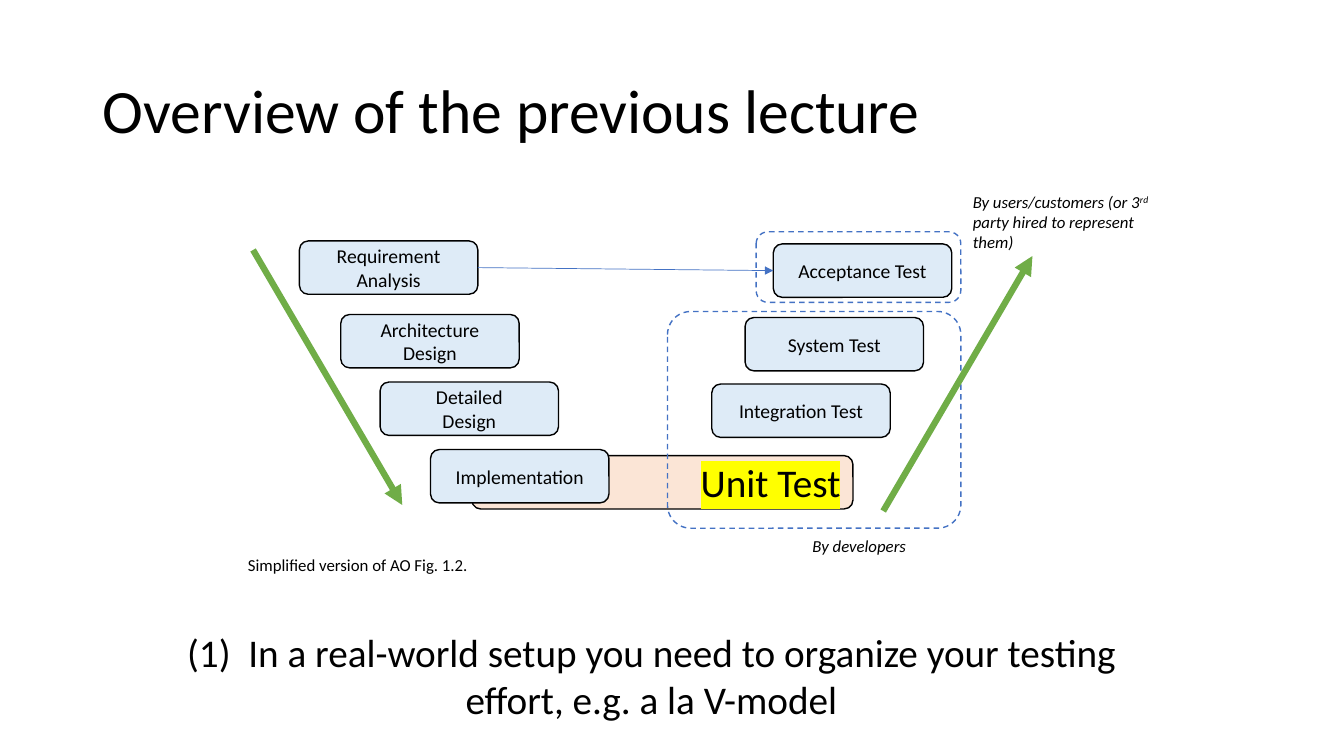
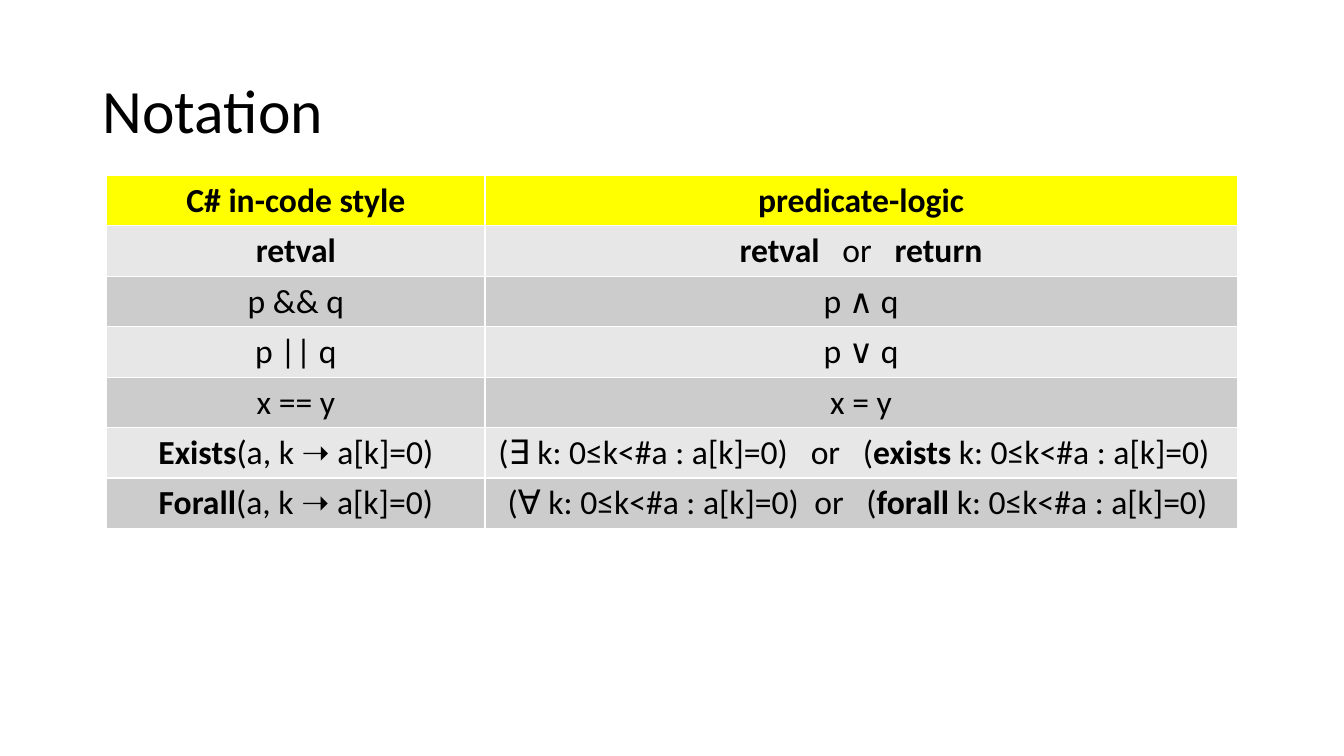
from lxml import etree
from pptx import Presentation
from pptx import util as u
from pptx.dml.color import RGBColor
from pptx.enum import dml, shapes, text
from pptx.oxml import ns

FONT = "Calibri"
COLORS = {
    "ink": "000000", "paper": "FFFFFF", "marker": "FFFF00", "step": "DEEBF7",
    "unit": "FBE5D6", "blue": "4472C4", "green": "70AD47",
    "light": "E7E7E7", "dark": "CCCCCC",
}
BOLD = {"bold": True}
STEP_SIZE = (1.77, 0.53)
WIDE_GAP = (" ", {"spacing": 10.8})
NARROW_GAP = (" ", {"spacing": 5.4})
LEFT, CENTER, RIGHT = text.PP_ALIGN.LEFT, text.PP_ALIGN.CENTER, text.PP_ALIGN.RIGHT
TOP, MIDDLE = text.MSO_ANCHOR.TOP, text.MSO_ANCHOR.MIDDLE


def color(name):
    return RGBColor.from_string(COLORS[name])


def add_child(parent, tag, **attributes):
    return etree.SubElement(parent, ns.qn(tag), attributes)


def add_span(para, words, size, bold=False, italic=False, baseline=None, spacing=None, highlight=None):
    span = para.add_run()
    span.text = words
    font = span.font
    font.name, font.size, font.bold, font.italic = FONT, u.Pt(size), bold, italic
    font.color.rgb = color("ink")
    properties = span._r.get_or_add_rPr()
    if baseline:
        properties.set("baseline", str(baseline * 1000))
    if spacing:
        properties.set("spc", str(round(spacing * 100)))
    if highlight:
        mark = etree.Element(ns.qn("a:highlight"))
        add_child(mark, "a:srgbClr", val=COLORS[highlight])
        properties.find(ns.qn("a:solidFill")).addnext(mark)


def write(frame, paragraphs, align=LEFT, line_spacing=None, **style):
    for index, spans in enumerate(paragraphs):
        para = frame.add_paragraph() if index else frame.paragraphs[0]
        para.alignment = align
        if line_spacing:
            para.line_spacing = line_spacing
        for span in [spans] if isinstance(spans, str) else spans:
            words, extra = (span, {}) if isinstance(span, str) else span
            add_span(para, words, **{**style, **extra})


def add_text(page, area, *paragraphs, anchor=TOP, wrap=True, **style):
    frame = page.shapes.add_textbox(*map(u.Inches, area)).text_frame
    frame.word_wrap = wrap
    frame.vertical_anchor = anchor
    write(frame, paragraphs, **style)


def add_title(page, words):
    add_text(page, (0.92, 0.4, 11.5, 1.45), words, anchor=MIDDLE, size=44, line_spacing=0.9)


def add_round_box(page, area, *paragraphs, fill=None, line="ink", dashed=False, corner=None, **style):
    box = page.shapes.add_shape(shapes.MSO_SHAPE.ROUNDED_RECTANGLE, *map(u.Inches, area))
    box.shadow.inherit = False
    if corner:
        box.adjustments[0] = corner
    if fill:
        box.fill.solid()
        box.fill.fore_color.rgb = color(fill)
    else:
        box.fill.background()
    box.line.color.rgb = color(line)
    box.line.width = u.Pt(1)
    if dashed:
        box.line.dash_style = dml.MSO_LINE.DASH
    if paragraphs:
        box.text_frame.word_wrap = True
        box.text_frame.vertical_anchor = MIDDLE
        write(box.text_frame, paragraphs, **style)
    return box


def add_step(page, left, top, *paragraphs):
    return add_round_box(page, (left, top, *STEP_SIZE), *paragraphs, fill="step", size=14, align=CENTER)


def add_arrow(page, start, end, line, width):
    arrow = page.shapes.add_connector(shapes.MSO_CONNECTOR.STRAIGHT, *map(u.Inches, (*start, *end)))
    arrow.line.color.rgb = color(line)
    arrow.line.width = u.Pt(width)
    add_child(arrow.line._get_or_add_ln(), "a:tailEnd", type="triangle")
    add_child(arrow._element.spPr, "a:effectLst")
    return arrow


def add_borders(cell, name):
    properties = cell._tc.get_or_add_tcPr()
    for index, side in enumerate(("a:lnL", "a:lnR", "a:lnT", "a:lnB")):
        line = etree.Element(ns.qn(side), w=str(u.Pt(1)))
        add_child(add_child(line, "a:solidFill"), "a:srgbClr", val=COLORS[name])
        properties.insert(index, line)


def add_grid(page, left, top, widths, row_height, rows):
    frame = page.shapes.add_table(len(rows), len(widths), *map(
        u.Inches, (left, top, sum(widths), row_height * len(rows))))
    table = frame.table
    for column, width in zip(table.columns, widths):
        column.width = u.Inches(width)
    for row_index, row in enumerate(rows):
        table.rows[row_index].height = u.Inches(row_height)
        fill = ("light" if row_index % 2 else "dark") if row_index else "marker"
        for column_index, spans in enumerate(row):
            cell = table.cell(row_index, column_index)
            cell.fill.solid()
            cell.fill.fore_color.rgb = color(fill)
            add_borders(cell, "paper")
            write(cell.text_frame, [spans], size=24, align=CENTER, bold=row_index == 0)
    return table


def build_overview(page):
    add_title(page, "Overview of the previous lecture")
    add_round_box(page, (4.68, 4.52, 3.78, 0.53), "Unit Test",
                  fill="unit", size=28, align=RIGHT, highlight="marker")
    add_round_box(page, (7.5, 2.3, 2.03, 0.7), line="blue", dashed=True)
    add_text(page, (9.55, 1.85, 2.19, 0.71),
             ["By users/customers (or 3", ("rd", {"baseline": 30}), " party hired to represent them)"],
             size=12, italic=True)
    add_round_box(page, (6.62, 3.09, 2.91, 2.15), line="blue", dashed=True, corner=0.107)
    add_text(page, (7.96, 5.27, 1.48, 0.3), "By developers", size=12, italic=True)

    requirement = add_step(page, 2.97, 2.39, "Requirement Analysis")
    add_step(page, 3.38, 3.12, "Architecture Design")
    add_step(page, 3.77, 3.79, "Detailed", "Design")
    add_step(page, 4.27, 4.46, "Implementation")
    add_step(page, 7.06, 3.81, "Integration Test")
    add_step(page, 7.39, 3.15, "System Test")
    acceptance = add_step(page, 7.67, 2.42, "Acceptance Test")

    add_arrow(page, (2.51, 2.48), (3.99, 5.01), "green", 4.5)
    check = add_arrow(page, (4.74, 2.65), (7.67, 2.69), "blue", 0.5)
    check.begin_connect(requirement, 3)
    check.end_connect(acceptance, 1)
    add_arrow(page, (8.76, 5.07), (10.24, 2.54), "green", 4.5)

    add_text(page, (2.36, 5.45, 2.64, 0.3), "Simplified version of AO Fig. 1.2.", size=12, wrap=False)
    add_text(page, (1.59, 6.18, 9.74, 1.04),
             ["(1)", (" ", {"spacing": 6.3}),
              "In a real-world setup you need to organize your testing effort, e.g. a la V-model"],
             size=28, align=CENTER)


def build_notation(page):
    add_title(page, "Notation")
    condition = " k: 0≤k<#a : a[k]=0)"
    rows = [
        ("C# in-code style", "predicate-logic"),
        ([("retval", BOLD)], [("retval", BOLD), WIDE_GAP, "or", WIDE_GAP, ("return", BOLD)]),
        ("p && q", "p ∧ q"),
        ("p || q", "p ∨ q"),
        ("x == y", "x = y"),
    ]
    for name, symbol, gap in (("Exists", "∃", WIDE_GAP), ("Forall", "∀", NARROW_GAP)):
        rows.append((
            [(name, BOLD), "(a, k ➝ a[k]=0)"],
            ["(" + symbol + condition, gap, "or", WIDE_GAP, "(", (name.lower(), BOLD), condition],
        ))
    table = add_grid(page, 1.06, 1.74, (3.75, 7.46), 0.5, rows)
    table.cell(5, 1).margin_right = u.Inches(0.24)
    table.cell(6, 1).margin_right = u.Inches(0.17)


def main():
    deck = Presentation()
    deck.slide_width, deck.slide_height = u.Inches(13.33), u.Inches(7.5)
    for build in (build_overview, build_notation):
        build(deck.slides.add_slide(deck.slide_layouts[6]))
    deck.save("out.pptx")


if __name__ == "__main__":
    main()
